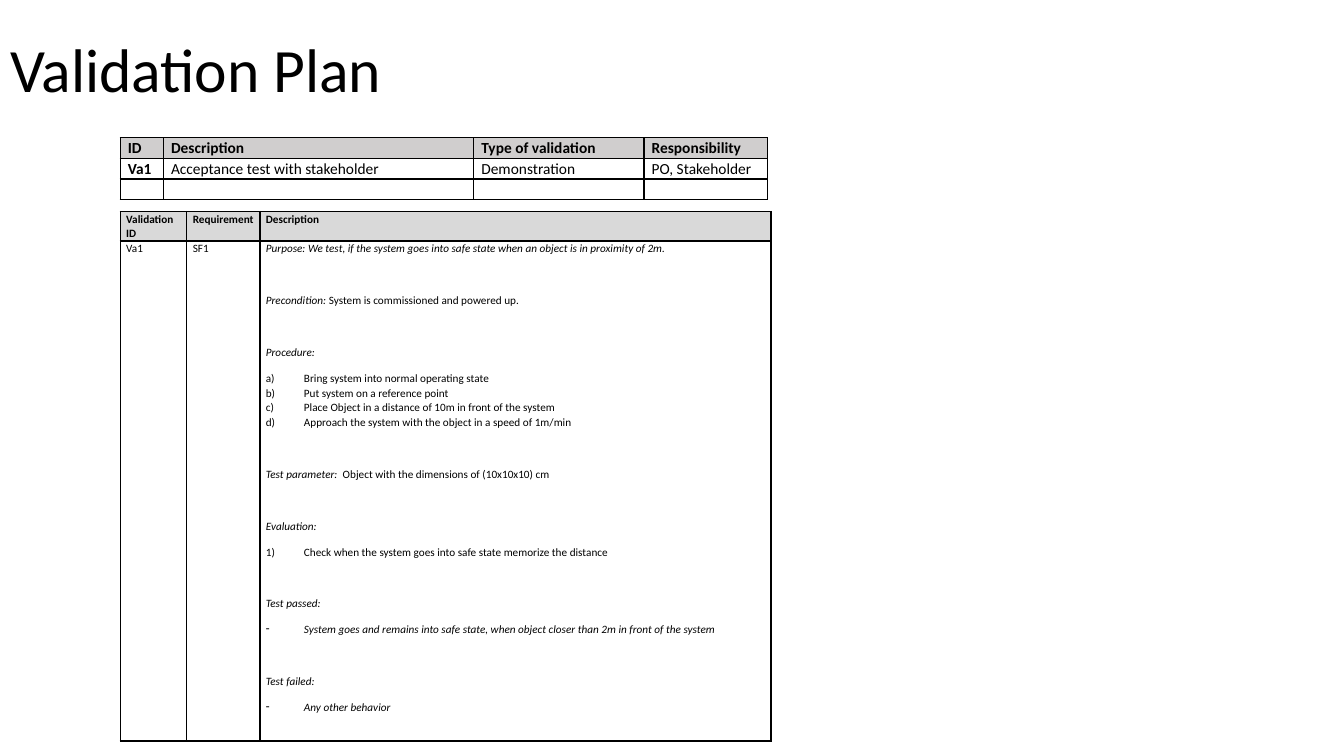
from lxml import etree
from pptx import Presentation
from pptx.dml.color import RGBColor
from pptx.enum.text import MSO_ANCHOR, PP_ALIGN
from pptx.oxml.ns import qn
from pptx.util import Cm, Pt

LEFT, MIDDLE = PP_ALIGN.LEFT, MSO_ANCHOR.MIDDLE
FONT, BLACK = "Calibri", "000000"
LINE_SPACING, SPACE_AFTER, SECTION_GAP = 1.07, 8, 18.5
LIST_INDENT = Cm(0.96)

TITLE = "Validation Plan"

LETTERS = ("a:buAutoNum", {"type": "alphaLcParenR"})
NUMBERS = ("a:buAutoNum", {"type": "arabicParenR"})
DASHES = ("a:buChar", {"char": "-"})

# (label, text after label, list style, list items, items in italics)
SECTIONS = [
    ("Purpose: We test, if the system goes into safe state when an object is in proximity of 2m.",
     "", None, [], False),
    ("Precondition:", " System is commissioned and powered up.", None, [], False),
    ("Procedure:", "", LETTERS, [
        "Bring system into normal operating state",
        "Put system on a reference point",
        "Place Object in a distance of 10m in front of the system",
        "Approach the system with the object in a speed of 1m/min",
    ], False),
    ("Test parameter:", "  Object with the dimensions of (10x10x10) cm", None, [], False),
    ("Evaluation:", "", NUMBERS,
     ["Check when the system goes into safe state memorize the distance"], False),
    ("Test passed:", "", DASHES,
     ["System goes and remains into safe state, when object closer than 2m in front of the system"],
     True),
    ("Test failed:", "", DASHES, ["Any other behavior"], True),
]

OVERVIEW = {
    "rows": [
        ["ID", "Description", "Type of validation", "Responsibility"],
        ["Va1", "Acceptance test with stakeholder", "Demonstration", "PO, Stakeholder"],
        ["", "", "", ""],
    ],
    "top": 3.47, "widths": [1.09, 7.82, 4.29, 3.12], "heights": [0.52, 0.52, 0.52],
    "size": 11, "inset": 0.19, "fill": "D0CECE", "bold_first_column": True,
}
DETAILS = {
    "rows": [["Validation ID", "Requirement", "Description"], ["Va1", "SF1", SECTIONS]],
    "top": 5.33, "widths": [1.68, 1.84, 12.88], "heights": [0.74, 12.6],
    "size": 8, "inset": 0.15, "fill": "D9D9D9", "bold_first_column": False,
}
TABLE_LEFT = 3.03


def color(value):
    return RGBColor.from_string(value)


def add_run(p, text, size, bold=False, italic=False):
    r = p.add_run()
    r.text = text
    r.font.name, r.font.size = FONT, Pt(size)
    r.font.bold, r.font.italic = bold, italic
    r.font.color.rgb = color(BLACK)


def format_paragraph(p, before=0, after=SPACE_AFTER):
    p.alignment = LEFT
    p.line_spacing = LINE_SPACING
    p.space_before, p.space_after = Pt(before), Pt(after)


def add_bullet(p, bullet):
    tag, attributes = bullet
    pPr = p._p.get_or_add_pPr()
    pPr.set("marL", str(LIST_INDENT))
    pPr.set("indent", str(-LIST_INDENT))
    etree.SubElement(pPr, qn(tag), attributes)


def fill_sections(tf, sections, size):
    for i, (label, text, bullet, items, italic) in enumerate(sections):
        p = tf.add_paragraph() if i else tf.paragraphs[0]
        format_paragraph(p, SECTION_GAP if i else 0)
        add_run(p, label, size, italic=True)
        if text:
            add_run(p, text, size)
        for item in items:
            p = tf.add_paragraph()
            format_paragraph(p, after=SPACE_AFTER if item == items[-1] else 0)
            add_bullet(p, bullet)
            add_run(p, item, size, italic=italic)


def add_borders(cell):
    tcPr = cell._tc.get_or_add_tcPr()
    for side in ("lnL", "lnR", "lnT", "lnB"):
        ln = etree.SubElement(tcPr, qn("a:" + side), w=str(Pt(1)))
        fill = etree.SubElement(ln, qn("a:solidFill"))
        etree.SubElement(fill, qn("a:srgbClr"), val=BLACK)


def fill_cell(cell, content, size, bold):
    tf = cell.text_frame
    if isinstance(content, list):
        fill_sections(tf, content, size)
        return
    p = tf.paragraphs[0]
    format_paragraph(p)
    if content:
        add_run(p, content, size, bold)
    else:
        etree.SubElement(p._p, qn("a:endParaRPr"), sz=str(size * 100))


def add_grid(s, grid):
    rows, widths, heights = grid["rows"], grid["widths"], grid["heights"]
    table = s.shapes.add_table(len(rows), len(widths), Cm(TABLE_LEFT), Cm(grid["top"]),
                               Cm(sum(widths)), Cm(sum(heights))).table
    table.first_row = table.horz_banding = False
    for column, width in zip(table.columns, widths):
        column.width = Cm(width)
    for i, (row, height) in enumerate(zip(rows, heights)):
        table.rows[i].height = Cm(height)
        for j, content in enumerate(row):
            cell = table.cell(i, j)
            cell.margin_left = cell.margin_right = Cm(grid["inset"])
            cell.margin_top = cell.margin_bottom = 0
            add_borders(cell)
            if i == 0:
                cell.fill.solid()
                cell.fill.fore_color.rgb = color(grid["fill"])
            else:
                cell.fill.background()
            bold = i == 0 or (j == 0 and grid["bold_first_column"])
            fill_cell(cell, content, grid["size"], bold)


def main():
    prs = Presentation()
    prs.slide_width, prs.slide_height = Cm(33.87), Cm(19.05)
    s = prs.slides.add_slide(prs.slide_layouts[5])

    title = s.shapes.title
    title.left, title.top, title.width, title.height = Cm(0), Cm(0), Cm(29.21), Cm(3.68)
    title.text_frame.vertical_anchor = MIDDLE
    p = title.text_frame.paragraphs[0]
    p.alignment, p.line_spacing = LEFT, 0.9
    add_run(p, TITLE, 44)

    for grid in (OVERVIEW, DETAILS):
        add_grid(s, grid)
    prs.save("out.pptx")


if __name__ == "__main__":
    main()
